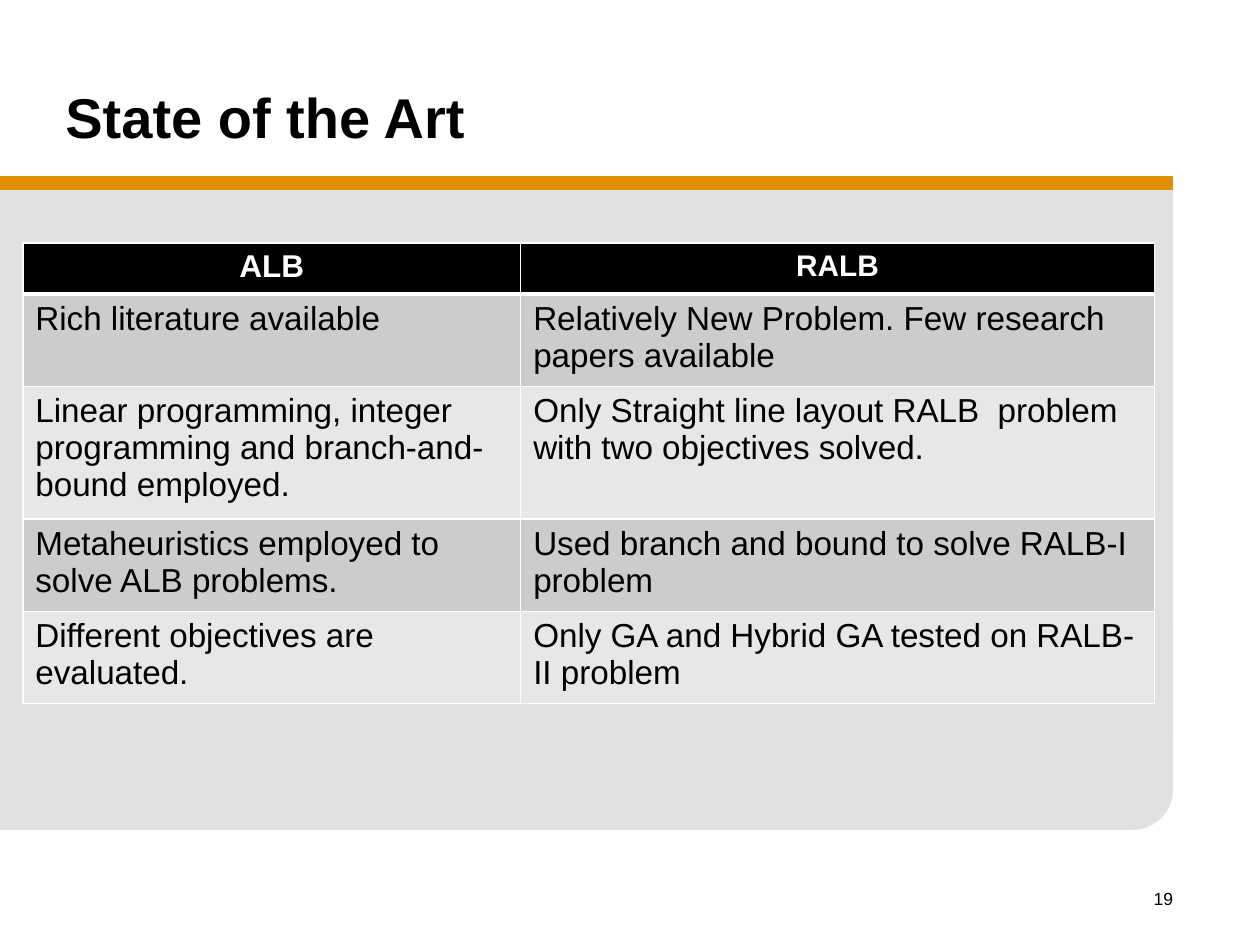
from lxml import etree
from pptx import Presentation
from pptx.dml.color import RGBColor
from pptx.enum.shapes import MSO_CONNECTOR, MSO_SHAPE
from pptx.enum.text import MSO_ANCHOR, PP_ALIGN
from pptx.oxml.ns import qn
from pptx.util import Cm, Pt

RECT, ROUNDED = MSO_SHAPE.RECTANGLE, MSO_SHAPE.ROUNDED_RECTANGLE
STRAIGHT = MSO_CONNECTOR.STRAIGHT
LEFT, CENTER, RIGHT = PP_ALIGN.LEFT, PP_ALIGN.CENTER, PP_ALIGN.RIGHT
TOP, MIDDLE = MSO_ANCHOR.TOP, MSO_ANCHOR.MIDDLE

FONT = "Arial"
BLACK, WHITE, PANEL, ORANGE = "000000", "FFFFFF", "E1E1E1", "DF8E05"
BANDS = ("CCCCCC", "E7E7E7")
HEADINGS = (("ALB", 18), ("RALB", 17))
COMPARISON = (
    ("Rich literature available",
     "Relatively New Problem. Few research papers available"),
    ("Linear programming, integer programming and branch-and-bound employed.",
     "Only Straight line layout RALB  problem with two objectives solved."),
    ("Metaheuristics employed to solve ALB problems.",
     "Used branch and bound to solve RALB-I problem"),
    ("Different objectives are evaluated.",
     "Only GA and Hybrid GA tested on RALB-II problem"),
)
COLUMN_SHARES = (0.44, 0.56)
ROW_HEIGHTS = (1.03, 1.74, 2.5, 1.74, 1.75)


def rgb(value):
    """Turn a hex string into a colour."""
    return RGBColor.from_string(value)


def add_run(p, text, size, color=BLACK, bold=False, align=LEFT):
    """Add one formatted run to a paragraph."""
    p.alignment = align
    r = p.add_run()
    r.text = text
    r.font.name = FONT
    r.font.size = Pt(size)
    r.font.bold = bold
    r.font.color.rgb = rgb(color)


def add_label(s, box, text, size, bold=False, align=LEFT, anchor=TOP):
    """Place a one-line text box."""
    tf = s.shapes.add_textbox(*map(Cm, box)).text_frame
    tf.word_wrap = False
    tf.vertical_anchor = anchor
    add_run(tf.paragraphs[0], text, size, bold=bold, align=align)


def add_panel(s, box):
    """Build the grey panel with one round corner and the orange rule above."""
    x, y, w, h = box
    parts = (
        (RECT, 0, 0.1, w, 11.07),
        (ROUNDED, 8.46, h - 4.88, w - 8.46, 4.88),
        (RECT, 0, h - 9.75, 10.52, 9.75),
    )
    for kind, dx, dy, width, height in parts:
        sp = s.shapes.add_shape(kind, Cm(x + dx), Cm(y + dy), Cm(width), Cm(height))
        sp.shadow.inherit = False
        sp.fill.solid()
        sp.fill.fore_color.rgb = rgb(PANEL)
        sp.line.fill.background()
    rule = s.shapes.add_connector(STRAIGHT, Cm(x), Cm(y), Cm(x + w), Cm(y))
    rule.line.color.rgb = rgb(ORANGE)
    rule.line.width = Pt(8)
    etree.SubElement(rule._element.spPr, qn("a:effectLst"))


def style_cell(cell, fill, bottom=1, top=1):
    """Fill a cell and give it white borders."""
    tc_pr = cell._tc.get_or_add_tcPr()
    for side, width in (("L", 1), ("R", 1), ("T", top), ("B", bottom)):
        ln = etree.SubElement(tc_pr, qn(f"a:ln{side}"), w=str(Pt(width)))
        solid = etree.SubElement(ln, qn("a:solidFill"))
        etree.SubElement(solid, qn("a:srgbClr"), val=WHITE)
    cell.fill.solid()
    cell.fill.fore_color.rgb = rgb(fill)


def add_comparison(s, box):
    """Build the table with its header and banded rows."""
    rows = len(COMPARISON) + 1
    table = s.shapes.add_table(rows, len(HEADINGS), *map(Cm, box)).table
    for column, share in zip(table.columns, COLUMN_SHARES):
        column.width = Cm(box[2] * share)
    for row, height in zip(table.rows, ROW_HEIGHTS):
        row.height = Cm(height)
    for col, (text, size) in enumerate(HEADINGS):
        cell = table.cell(0, col)
        style_cell(cell, BLACK, bottom=3)
        add_run(cell.text_frame.paragraphs[0], text, size, WHITE, True, CENTER)
    for i, texts in enumerate(COMPARISON):
        for col, text in enumerate(texts):
            cell = table.cell(i + 1, col)
            style_cell(cell, BANDS[i % 2], top=1 if i else 3)
            add_run(cell.text_frame.paragraphs[0], text, 19)


def main():
    """Build the slide and save it."""
    prs = Presentation()
    prs.slide_width, prs.slide_height = Cm(25.4), Cm(19.05)
    s = prs.slides.add_slide(prs.slide_layouts[6])
    add_panel(s, (0, 3.68, 23.65, 13.05))
    add_label(s, (18.62, 17.78, 5.28, 1.27), "19", 10, align=RIGHT)
    add_label(s, (1.07, 1.8, 9.12, 1.07), "State of the Art", 32, True, anchor=MIDDLE)
    add_comparison(s, (0.46, 4.9, 22.81, sum(ROW_HEIGHTS)))
    prs.save("out.pptx")


if __name__ == "__main__":
    main()
